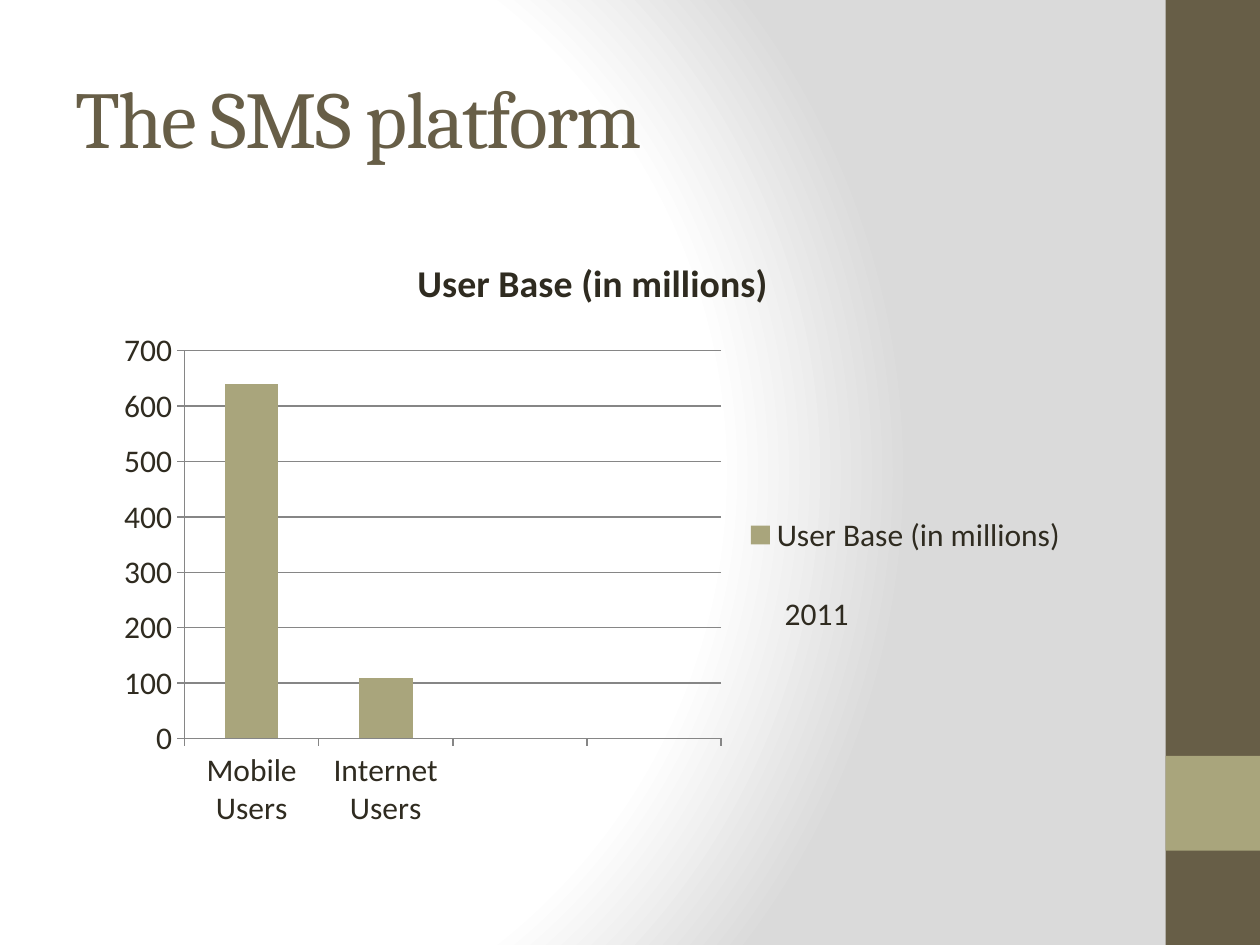
from pptx import Presentation
from pptx import util as u
from pptx.chart import data
from pptx.dml.color import RGBColor
from pptx.enum import chart as c, shapes, text
from pptx.oxml import parse_xml

BROWN = RGBColor(0x67, 0x5E, 0x47)
OLIVE = RGBColor(0xA9, 0xA5, 0x7C)
DARK = RGBColor(0x2F, 0x2B, 0x20)
GRAY = RGBColor(0x86, 0x86, 0x86)

presentation = Presentation()
presentation.slide_width = u.Cm(25.4)
presentation.slide_height = u.Cm(19.05)
slide = presentation.slides.add_slide(presentation.slide_layouts[6])

# Background: circular gradient, white to light gray
stops = "".join(
    f'<a:gs pos="{position * 1000}"><a:srgbClr val="{color}"/></a:gs>'
    for position, color in [(0, "FFFFFF"), (75, "FFFFFF"), (100, "DADADA")])
slide.element.cSld.insert(0, parse_xml(
    '<p:bg xmlns:p="http://schemas.openxmlformats.org/presentationml/2006/main"'
    ' xmlns:a="http://schemas.openxmlformats.org/drawingml/2006/main">'
    f'<p:bgPr><a:gradFill rotWithShape="1"><a:gsLst>{stops}</a:gsLst>'
    '<a:path path="circle"><a:fillToRect l="20000" t="50000" r="100000" b="50000"/></a:path>'
    '</a:gradFill><a:effectLst/></p:bgPr></p:bg>'))

# Side band with its accent square
for top, height, color in [(0, 19.05, BROWN), (15.24, 1.91, OLIVE)]:
    band = slide.shapes.add_shape(
        shapes.MSO_SHAPE.RECTANGLE, u.Cm(23.5), u.Cm(top), u.Cm(1.9), u.Cm(height))
    band.shadow.inherit = False
    band.fill.solid()
    band.fill.fore_color.rgb = color
    band.line.fill.background()


def add_text(wording, left, top, width, height, font_name, size, color):
    box = slide.shapes.add_textbox(u.Cm(left), u.Cm(top), u.Cm(width), u.Cm(height))
    box.text_frame.word_wrap = True
    box.text_frame.text = wording
    font = box.text_frame.paragraphs[0].runs[0].font
    font.name, font.size, font.color.rgb = font_name, u.Pt(size), color
    return box


# Title
title = add_text("The SMS platform", 1.27, 0.76, 21.16, 3.18, "Cambria", 46, BROWN)
title.text_frame.vertical_anchor = text.MSO_ANCHOR.MIDDLE
title.text_frame.paragraphs[0].runs[0].font._element.set("spc", "-100")

# User base chart, with two empty slots on the right
chart_data = data.CategoryChartData()
chart_data.categories = ["Mobile Users", "Internet Users", "", ""]
chart_data.add_series("User Base (in millions)", [640, 110, None, None])
chart = slide.shapes.add_chart(
    c.XL_CHART_TYPE.COLUMN_STACKED, u.Cm(2.11), u.Cm(4.65), u.Cm(19.68), u.Cm(12.27),
    chart_data).chart
chart.font.name = "Calibri"
chart.font.size = u.Pt(18)
chart.font.color.rgb = DARK

chart.has_title = True
chart.chart_title.text_frame.text = "User Base (in millions)"
chart.chart_title.include_in_layout = False
title_font = chart.chart_title.text_frame.paragraphs[0].runs[0].font
title_font.name, title_font.size, title_font.bold = "Calibri", u.Pt(21.6), True
title_font.color.rgb = DARK

chart.has_legend = True
chart.legend.position = c.XL_LEGEND_POSITION.RIGHT
chart.legend.include_in_layout = False

plot = chart.plots[0]
plot.gap_width = 150
plot.overlap = 100
plot.vary_by_categories = False
plot.series[0].format.fill.solid()
plot.series[0].format.fill.fore_color.rgb = OLIVE

# Axes and gridlines
chart.value_axis.has_major_gridlines = True
for axis in (chart.category_axis, chart.value_axis):
    axis.major_tick_mark = c.XL_TICK_MARK.OUTSIDE
    axis.minor_tick_mark = c.XL_TICK_MARK.NONE
    axis.format.line.color.rgb = GRAY
chart.value_axis.major_gridlines.format.line.color.rgb = GRAY

# Year below the legend
add_text("2011", 15.57, 11.86, 4.01, 1.02, "Calibri", 18, DARK)

presentation.save("out.pptx")
